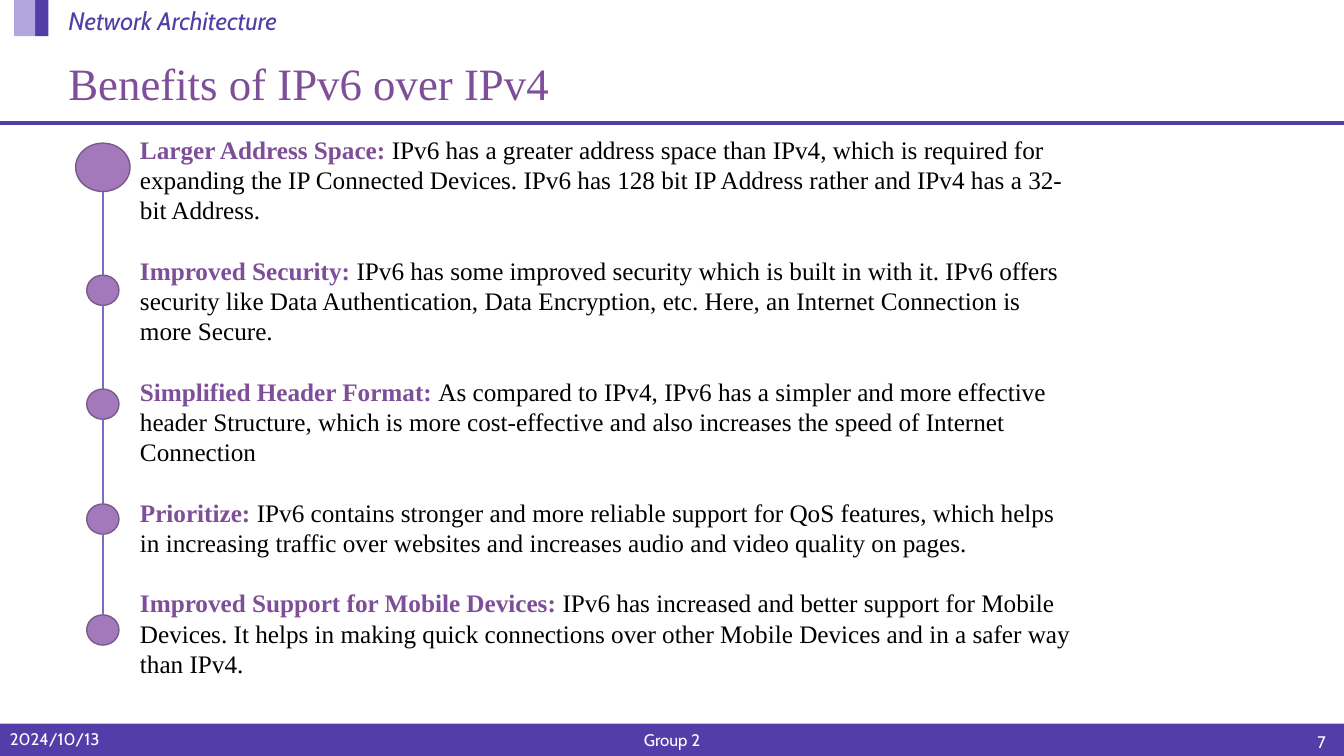
from dataclasses import dataclass
from itertools import pairwise

from lxml import etree
from pptx import Presentation
from pptx import util as u
from pptx.dml.color import RGBColor
from pptx.enum import shapes, text
from pptx.oxml import ns


@dataclass(frozen=True)
class Theme:
    white: str = "FFFFFF"
    black: str = "000000"
    indigo: str = "533EA9"
    lavender: str = "B2A6DF"
    plum: str = "7E4E99"
    bead: str = "A379BB"
    bead_edge: str = "795A8A"
    thread: str = "7E6BC9"
    sans: str = "Cabin"
    serif: str = "Times New Roman"
    title: int = 32
    body: int = 18
    footer: int = 12
    leading: float = 21.6


class Deck:
    COLS, ROWS = 80, 45

    def __init__(self, theme):
        self.theme = theme
        self.prs = Presentation()
        self.prs.slide_width = u.Inches(13.33)
        self.prs.slide_height = u.Inches(7.5)
        self.s = self.prs.slides.add_slide(self.prs.slide_layouts[6])

    def x(self, cols):
        return round(self.prs.slide_width * cols / self.COLS)

    def y(self, rows):
        return round(self.prs.slide_height * rows / self.ROWS)

    def place(self, left, top, width, height):
        return self.x(left), self.y(top), self.x(width), self.y(height)

    def shape(self, kind, box, fill, edge=None):
        sp = self.s.shapes.add_shape(kind, *self.place(*box))
        sp.shadow.inherit = False
        sp.fill.solid()
        sp.fill.fore_color.rgb = RGBColor.from_string(fill)
        if edge:
            sp.line.color.rgb = RGBColor.from_string(edge)
            sp.line.width = u.Pt(1)
        else:
            sp.line.fill.background()

    def line(self, start, end, color, width):
        c = self.s.shapes.add_connector(
            shapes.MSO_CONNECTOR.STRAIGHT,
            self.x(start[0]), self.y(start[1]), self.x(end[0]), self.y(end[1]))
        c.line.color.rgb = RGBColor.from_string(color)
        c.line.width = u.Pt(width)
        etree.SubElement(c._element.spPr, ns.qn("a:effectLst"))

    def text(self, box, anchor=text.MSO_ANCHOR.TOP, wrap=True):
        tf = self.s.shapes.add_textbox(*self.place(*box)).text_frame
        tf.word_wrap = wrap
        tf.vertical_anchor = anchor
        return tf

    def run(self, p, words, size, font, color, bold=False, italic=False):
        r = p.add_run()
        r.text = words
        r.font.size = u.Pt(size)
        r.font.name = font
        r.font.color.rgb = RGBColor.from_string(color)
        r.font.bold = bold
        r.font.italic = italic

    def footer(self, box, words, align):
        p = self.text(box, text.MSO_ANCHOR.MIDDLE).paragraphs[0]
        p.alignment = align
        self.run(p, words, self.theme.footer, self.theme.sans, self.theme.white)

    def timeline(self, axis, beads):
        t = self.theme
        for middle, width, height in beads:
            box = (axis - width / 2, middle - height / 2, width, height)
            self.shape(shapes.MSO_SHAPE.OVAL, box, t.bead, t.bead_edge)
        for (above, _, upper), (below, _, lower) in pairwise(beads):
            self.line((axis, above + upper / 2), (axis, below - lower / 2),
                      t.thread, 1.5)

    def benefits(self, box, items):
        t = self.theme
        tf = self.text(box)
        for i, (heading, detail) in enumerate(items):
            p = tf.add_paragraph() if i else tf.paragraphs[0]
            p.line_spacing = u.Pt(t.leading)
            p.space_before = u.Pt(t.leading if i else 0)
            self.run(p, heading + ": ", t.body, t.serif, t.plum, bold=True)
            self.run(p, detail, t.body, t.serif, t.black)


BENEFITS = [
    ("Larger Address Space",
     "IPv6 has a greater address space than IPv4, which is required for "
     "expanding the IP Connected Devices. IPv6 has 128 bit IP Address rather "
     "and IPv4 has a 32-bit Address."),
    ("Improved Security",
     "IPv6 has some improved security which is built in with it. IPv6 offers "
     "security like Data Authentication, Data Encryption, etc. Here, an "
     "Internet Connection is more Secure."),
    ("Simplified Header Format",
     "As compared to IPv4, IPv6 has a simpler and more effective header "
     "Structure, which is more cost-effective and also increases the speed of "
     "Internet Connection"),
    ("Prioritize",
     "IPv6 contains stronger and more reliable support for QoS features, which "
     "helps in increasing traffic over websites and increases audio and video "
     "quality on pages."),
    ("Improved Support for Mobile Devices",
     "IPv6 has increased and better support for Mobile Devices. It helps in "
     "making quick connections over other Mobile Devices and in a safer way "
     "than IPv4."),
]


def main():
    t = Theme()
    d = Deck(t)
    rect = shapes.MSO_SHAPE.RECTANGLE
    d.shape(rect, (0, 43.08, 80, 1.92), t.indigo)
    d.line((0, 7.32), (80, 7.32), t.indigo, 2.25)
    d.shape(rect, (2.1, 0, 0.78, 2.16), t.indigo)
    d.shape(rect, (0.84, 0, 1.26, 2.16), t.lavender)

    d.footer((0, 43.08, 18, 1.8), "2024/10/13", text.PP_ALIGN.LEFT)
    d.footer((26.5, 43.08, 27, 1.86), "Group 2", text.PP_ALIGN.CENTER)
    d.footer((75.5, 43.14, 4, 2.04), "7", text.PP_ALIGN.RIGHT)

    p = d.text((3.48, 0.24, 29.2, 1.86)).paragraphs[0]
    p.line_spacing = 0.9
    d.run(p, "Network Architecture", t.body, t.sans, t.indigo, italic=True)
    p = d.text((3.48, 3, 31.1, 3.84), wrap=False).paragraphs[0]
    d.run(p, "Benefits of IPv6 over IPv4", t.title, t.serif, t.plum)

    small = (1.92, 1.8)
    d.timeline(6.12, [(9.96, 3.24, 2.88)] + [
        (middle, *small) for middle in (17.28, 24.06, 30.9, 37.5)])
    d.benefits((7.74, 7.68, 56.7, 33.3), BENEFITS)
    d.prs.save("out.pptx")


if __name__ == "__main__":
    main()
